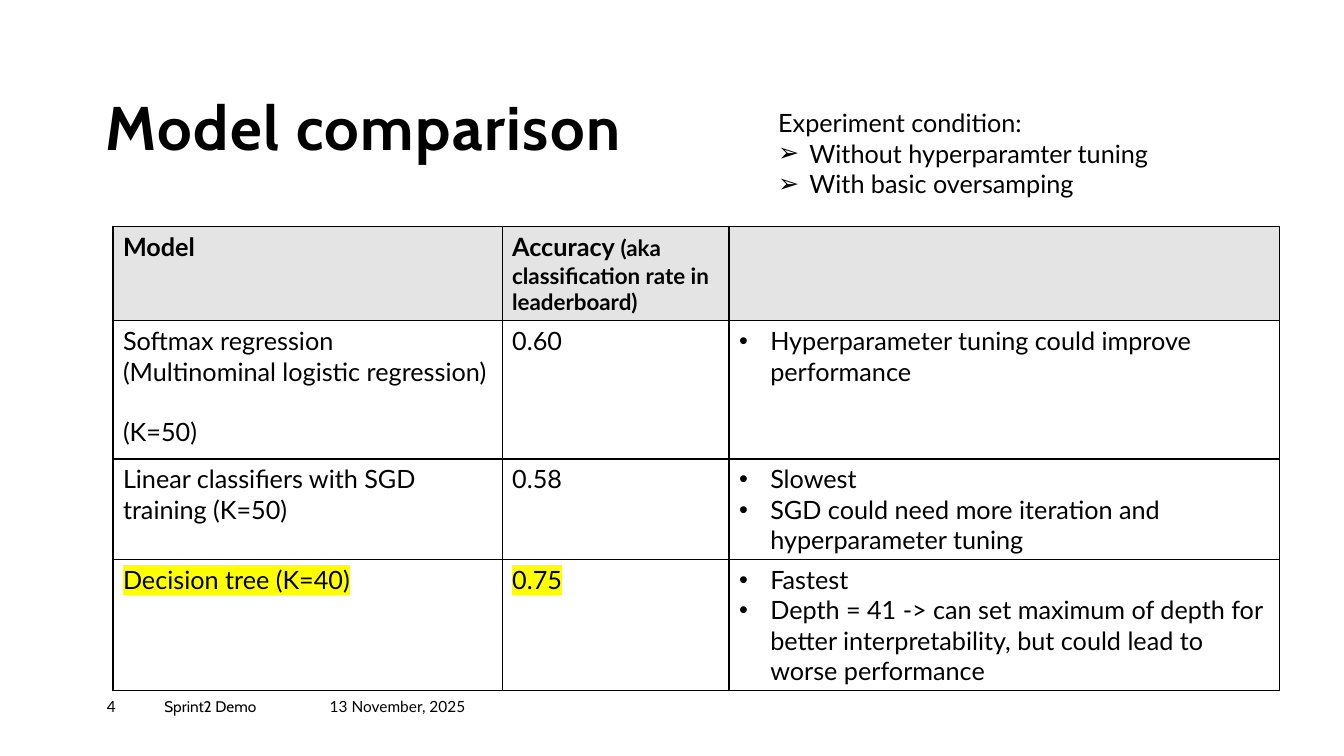
from lxml import etree
from pptx import Presentation
from pptx.dml.color import RGBColor
from pptx.enum.text import MSO_ANCHOR
from pptx.oxml.ns import qn
from pptx.util import Inches, Pt

BOTTOM = MSO_ANCHOR.BOTTOM
COLOR = {"ink": "000000", "head": "E4E4E4", "mark": "FFFF00"}
SIZE = (13.33, 7.5)

TITLE = "Model comparison"
NOTE = ["Experiment condition:", "➢Without hyperparamter tuning", "➢With basic oversamping"]
HEAD = [["Model"], [("Accuracy ", "(aka classification rate in leaderboard)")], []]
MODELS = [
    [["Softmax regression\v(Multinominal logistic regression)", "(K=50)"], ["0.60"],
     ["•Hyperparameter tuning could improve performance"]],
    [["Linear classifiers with SGD training (K=50)"], ["0.58"],
     ["•Slowest", "•SGD could need more iteration and hyperparameter tuning"]],
    [["Decision tree (K=40)"], ["0.75"],
     ["•Fastest", "•Depth = 41 -> can set maximum of depth for better "
      "interpretability, but could lead to worse performance"]],
]
BEST = 3
COLS = [3.86, 2.25, 5.46]
ROWS = [0.93, 1.37, 1.0, 1.3]
FOOT = [("4", 0.57, "Lato"), ("Sprint2 Demo", 1.64, "Cabin"), ("13 November, 2025", 1.44, "Lato")]
FOOT_AT = (1.06, 6.92, 0.27)

BODY = {"name": "Lato", "size": Pt(18), "bold": False}
BOLD = {**BODY, "bold": True}
SMALL = {**BOLD, "size": Pt(16)}
FLUSH = dict.fromkeys(("margin_left", "margin_top", "margin_right", "margin_bottom"), 0)


def put(thing, fmt):
    for key, val in fmt.items():
        setattr(thing, key, val)


def solid(parent, tag, color):
    node = etree.SubElement(parent, qn(tag))
    etree.SubElement(node, qn("a:srgbClr"), val=COLOR[color])
    return node


def add_run(para, text, fmt, mark=False):
    for i, part in enumerate(text.split("\v")):
        if i:
            para.add_line_break()
        run = para.add_run()
        run.text = part
        put(run.font, fmt)
        run.font.color.rgb = RGBColor.from_string(COLOR["ink"])
        if mark:
            props = run.font.fill and run._r.get_or_add_rPr()
            props.find(qn("a:solidFill")).addnext(solid(props, "a:highlight", "mark"))
    return run


def write(frame, lines, fmt=BODY, mark=False):
    """Fill a frame; a leading bullet sign becomes a real bullet, a tuple a big and a small run."""
    for i, line in enumerate(lines):
        para = frame.add_paragraph() if i else frame.paragraphs[0]
        if isinstance(line, tuple):
            add_run(para, line[0], fmt)
            add_run(para, line[1], SMALL)
            continue
        if line[0] in "•➢":
            props = para._p.get_or_add_pPr()
            props.set("marL", str(Inches(0.31)))
            props.set("indent", str(-Inches(0.31)))
            etree.SubElement(props, qn("a:buFont"), typeface="Arial")
            etree.SubElement(props, qn("a:buChar"), char=line[0])
            line = line[1:]
        elif i:
            para.space_before = Pt(21.6)
        add_run(para, line, fmt, mark)


def add_box(slide, x, y, w, h):
    frame = slide.shapes.add_textbox(*map(Inches, (x, y, w, h))).text_frame
    frame.word_wrap = True
    return frame


def frame_cell(cell):
    props = cell._tc.get_or_add_tcPr()
    for n, side in enumerate(("a:lnL", "a:lnR", "a:lnT", "a:lnB")):
        line = etree.Element(qn(side), w=str(Pt(1)))
        solid(line, "a:solidFill", "ink")
        props.insert(n, line)


def add_title(slide):
    title = slide.shapes.title
    put(title, dict(zip(("left", "top", "width", "height"), map(Inches, (1.05, 0.96, 5.4, 0.67)))))
    put(title.text_frame, {**FLUSH, "vertical_anchor": BOTTOM, "word_wrap": True})
    para = title.text_frame.paragraphs[0]
    put(para, {"line_spacing": 0.9, "alignment": 1})
    run = add_run(para, TITLE, {"name": "Cabin", "size": Pt(44), "bold": True})
    run._r.get_or_add_rPr().set("spc", "100")


def add_grid(slide):
    table = slide.shapes.add_table(len(ROWS), len(COLS), *map(
        Inches, (1.12, 2.25, sum(COLS), sum(ROWS)))).table
    put(table, {"first_row": False, "horz_banding": False})
    for col, wide in zip(table.columns, COLS):
        col.width = Inches(wide)
    for r, (high, cells) in enumerate(zip(ROWS, [HEAD] + MODELS)):
        table.rows[r].height = Inches(high)
        for c, lines in enumerate(cells):
            cell = table.cell(r, c)
            if r:
                cell.fill.background()
            else:
                cell.fill.solid()
                cell.fill.fore_color.rgb = RGBColor.from_string(COLOR["head"])
            frame_cell(cell)
            write(cell.text_frame, lines, BODY if r else BOLD, r == BEST and c < 2)


def add_foot(slide):
    x, y, high = FOOT_AT
    for text, wide, face in FOOT:
        frame = add_box(slide, x, y, wide, high)
        put(frame, FLUSH)
        write(frame, [text], {"name": face, "size": Pt(11)})
        x += wide


def main():
    deck = Presentation()
    deck.slide_width, deck.slide_height = map(Inches, SIZE)
    slide = deck.slides.add_slide(deck.slide_layouts[5])
    add_title(slide)
    add_foot(slide)
    add_grid(slide)
    write(add_box(slide, 7.62, 1.02, 4.59, 1.01), NOTE)
    deck.save("out.pptx")


if __name__ == "__main__":
    main()
